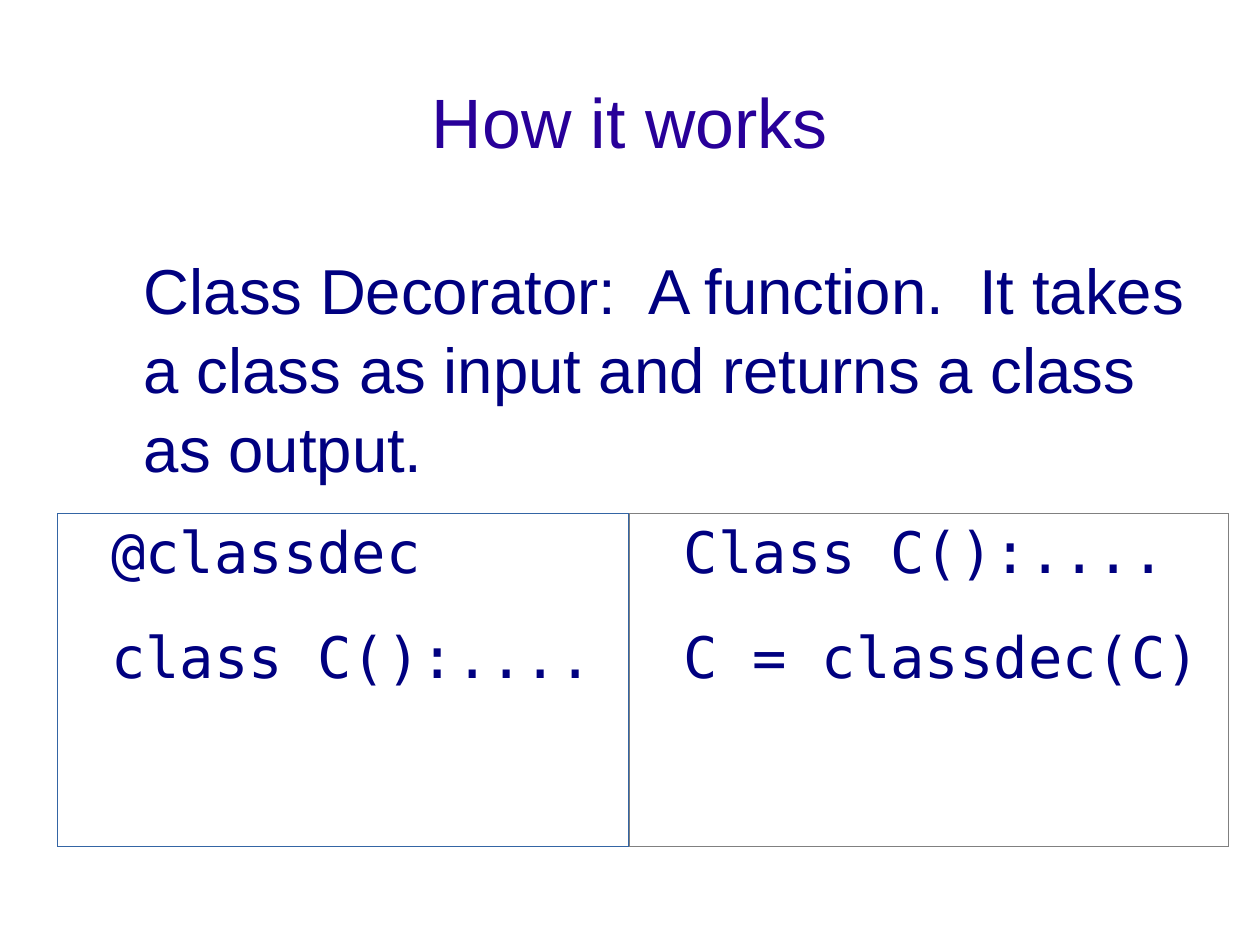
"""Build the "How it works" slide about class decorators."""
from pptx import Presentation
from pptx.dml.color import RGBColor
from pptx.enum.text import MSO_ANCHOR, PP_ALIGN
from pptx.util import Pt

PX = 8000
MIDDLE, TOP = MSO_ANCHOR.MIDDLE, MSO_ANCHOR.TOP
CENTER, LEFT = PP_ALIGN.CENTER, PP_ALIGN.LEFT
COLORS = {"title": "280099", "text": "000080", "before": "3465A4", "after": "808080"}
SANS, MONO = "Arial", "DejaVu Sans Mono"
INDENT = 54

prs = Presentation()
prs.slide_width, prs.slide_height = 1260 * PX, 945 * PX
slide = prs.slides.add_slide(prs.slide_layouts[6])


def add_text(box, text, font, size, color, indent=INDENT, align=LEFT, anchor=TOP):
    block = slide.shapes.add_textbox(*(length * PX for length in box))
    frame = block.text_frame
    frame.word_wrap = True
    frame.vertical_anchor = anchor
    frame.margin_left = frame.margin_top = frame.margin_right = frame.margin_bottom = 0
    frame.text = text
    for paragraph in frame.paragraphs:
        paragraph.alignment = align
        paragraph.line_spacing = 1.04
        paragraph.space_after = Pt(21.2 if indent else 0)
        paragraph._p.get_or_add_pPr().set("marL", str(indent * PX))
        for run in paragraph.runs:
            run.font.name = font
            run.font.size = Pt(size)
            run.font.color.rgb = RGBColor.from_string(COLORS[color])
    return block


add_text((63, 46, 1134, 146), "How it works", SANS, 44, "title", 0, CENTER, MIDDLE)
add_text(
    (90, 248, 1106, 235),
    "Class Decorator:  A function.  It takes a class as input and returns a class as output.",
    SANS, 40, "text",
)

code_panels = [
    (57, 572, "before", "@classdec\nclass C():...."),
    (630, 599, "after", "Class C():....\nC = classdec(C)"),
]
for left, width, border, code in code_panels:
    panel = add_text((left, 514, width, 333), code, MONO, 36, "text")
    panel.line.color.rgb = RGBColor.from_string(COLORS[border])
    panel.line.width = 0

prs.save("out.pptx")
